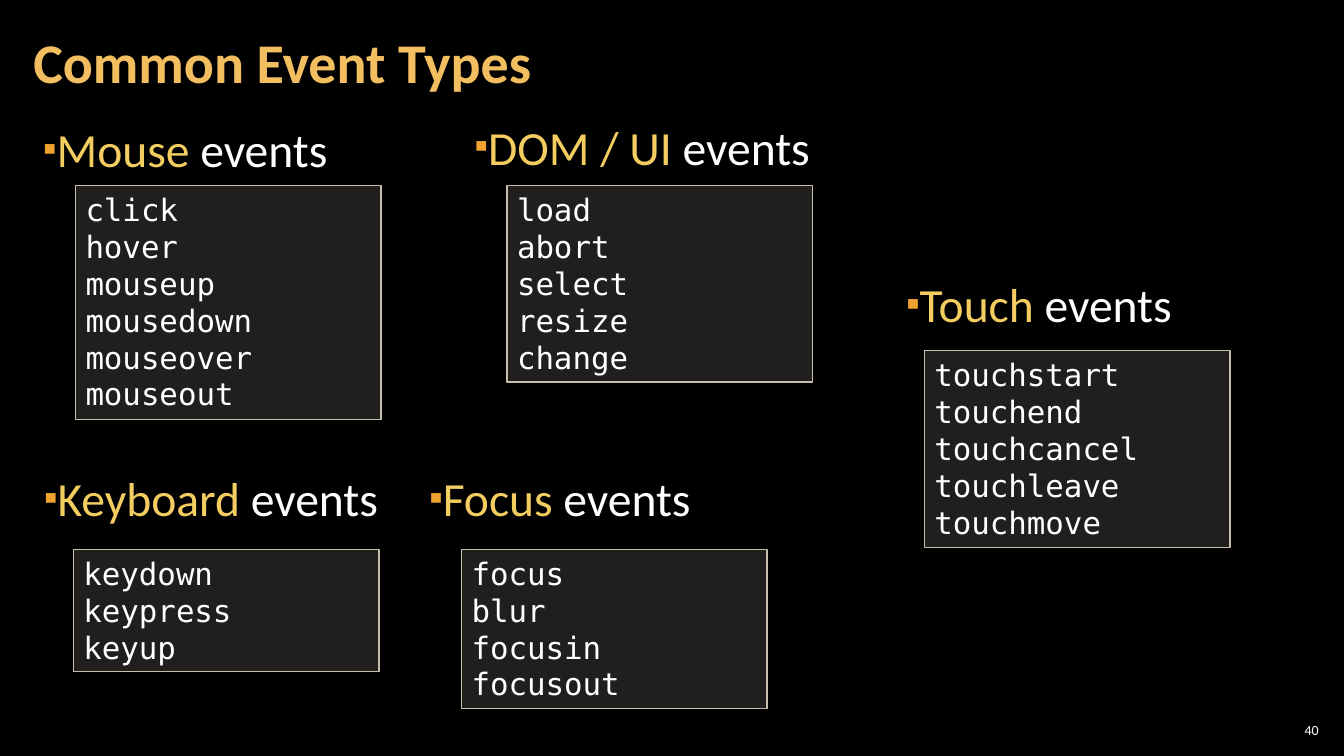
from lxml.etree import SubElement
from pptx import Presentation
from pptx.dml.color import RGBColor
from pptx.enum.shapes import MSO_SHAPE
from pptx.enum.text import MSO_ANCHOR, MSO_AUTO_SIZE, PP_ALIGN
from pptx.oxml.ns import qn
from pptx.util import Inches, Pt

COLORS = {
    "background": "000000",
    "title": "F3BE60",
    "heading": "F3CD60",
    "bullet": "F0A22E",
    "text": "FFFFFF",
    "panel": "D9D5C7",
    "border": "C7BFAC",
}
COLUMNS, ROWS = 133.3, 75
PANEL_WIDTH, LINE_ROWS, PADDING_ROWS = 30.3, 3.7, 1
HEADING_ROWS = 7.3

EVENT_GROUPS = [
    ("Mouse", (3.3, 10.8, 45), (7.5, 18.4),
     ["click", "hover", "mouseup", "mousedown", "mouseover", "mouseout"]),
    ("DOM / UI", (46.1, 10.6, 39.5), (50.3, 18.4),
     ["load", "abort", "select", "resize", "change"]),
    ("Keyboard", (3.4, 45.5, 45), (7.3, 54.5),
     ["keydown", "keypress", "keyup"]),
    ("Focus", (41.6, 45.5, 39.5), (45.8, 54.5),
     ["focus", "blur", "focusin", "focusout"]),
    ("Touch", (88.9, 26.2, 39.5), (91.7, 34.8),
     ["touchstart", "touchend", "touchcancel", "touchleave", "touchmove"]),
]


class EventSlide:
    text_font = "Calibri"
    code_font = "DejaVu Sans Mono"

    def __init__(self, presentation):
        self.column = presentation.slide_width / COLUMNS
        self.row = presentation.slide_height / ROWS
        self.slide = presentation.slides.add_slide(presentation.slide_layouts[5])
        background = self.slide.background.fill
        background.solid()
        background.fore_color.rgb = self.color("background")

    def color(self, name):
        return RGBColor.from_string(COLORS[name])

    def area(self, left, top, width, height):
        return (round(left * self.column), round(top * self.row),
                round(width * self.column), round(height * self.row))

    def add_run(self, paragraph, text, size, color, font=text_font, bold=False):
        run = paragraph.add_run()
        run.text = text
        run.font.name = font
        run.font.size = Pt(size)
        run.font.bold = bold
        run.font.color.rgb = self.color(color)

    def add_bullet(self, paragraph):
        properties = paragraph._p.get_or_add_pPr()
        properties.set("marL", "0")
        properties.set("indent", str(-Inches(0.25)))
        bullet_color = SubElement(properties, qn("a:buClr"))
        SubElement(bullet_color, qn("a:srgbClr"), val=COLORS["bullet"])
        SubElement(properties, qn("a:buSzPct"), val="80000")
        SubElement(properties, qn("a:buFont"), typeface=self.text_font)
        SubElement(properties, qn("a:buChar"), char="▪")

    def add_title(self, text, *place):
        title = self.slide.shapes.title
        title.left, title.top, title.width, title.height = self.area(*place)
        frame = title.text_frame
        frame.auto_size = MSO_AUTO_SIZE.NONE
        frame.vertical_anchor = MSO_ANCHOR.MIDDLE
        frame.margin_left = frame.margin_right = Inches(0.12)
        frame.margin_top = frame.margin_bottom = Inches(0.04)
        paragraph = frame.paragraphs[0]
        paragraph.alignment = PP_ALIGN.LEFT
        paragraph.line_spacing = 0.9
        self.add_run(paragraph, text, 40, "title", bold=True)

    def add_heading(self, topic, left, top, width):
        box = self.slide.shapes.add_textbox(*self.area(left, top, width, HEADING_ROWS))
        frame = box.text_frame
        frame.word_wrap = True
        frame.auto_size = MSO_AUTO_SIZE.SHAPE_TO_FIT_TEXT
        paragraph = frame.paragraphs[0]
        self.add_bullet(paragraph)
        paragraph.line_spacing = 1.1
        self.add_run(paragraph, topic, 34, "heading")
        self.add_run(paragraph, " events", 34, "text")

    def add_code_panel(self, events, left, top):
        height = len(events) * LINE_ROWS + PADDING_ROWS
        panel = self.slide.shapes.add_shape(
            MSO_SHAPE.RECTANGLE, *self.area(left, top, PANEL_WIDTH, height))
        panel.shadow.inherit = False
        panel.fill.solid()
        panel.fill.fore_color.rgb = self.color("panel")
        fill_color = panel._element.spPr.find(qn("a:solidFill"))[0]
        SubElement(fill_color, qn("a:alpha"), val="15000")
        panel.line.color.rgb = self.color("border")
        panel.line.width = Pt(1)
        frame = panel.text_frame
        frame.word_wrap = True
        frame.auto_size = MSO_AUTO_SIZE.SHAPE_TO_FIT_TEXT
        frame.vertical_anchor = MSO_ANCHOR.TOP
        for index, event in enumerate(events):
            paragraph = frame.add_paragraph() if index else frame.paragraphs[0]
            paragraph.alignment = PP_ALIGN.LEFT
            self.add_run(paragraph, event, 22, "text", self.code_font)

    def add_page_number(self, number, *place):
        box = self.slide.shapes.add_textbox(*self.area(*place))
        frame = box.text_frame
        frame.word_wrap = True
        frame.vertical_anchor = MSO_ANCHOR.MIDDLE
        frame.margin_left = frame.margin_right = Inches(0.04)
        frame.margin_top = frame.margin_bottom = Inches(0.04)
        paragraph = frame.paragraphs[0]
        paragraph.alignment = PP_ALIGN.RIGHT
        self.add_run(paragraph, number, 10, "text")


def main():
    presentation = Presentation()
    presentation.slide_width = Inches(13.33)
    presentation.slide_height = Inches(7.5)
    event_slide = EventSlide(presentation)
    event_slide.add_title("Common Event Types", 2.1, 0.4, 104.7, 12.1)
    for topic, heading_place, panel_place, events in EVENT_GROUPS:
        event_slide.add_heading(topic, *heading_place)
        event_slide.add_code_panel(events, *panel_place)
    event_slide.add_page_number("40", 126.5, 71.4, 4.7, 2.1)
    presentation.save("out.pptx")


if __name__ == "__main__":
    main()
